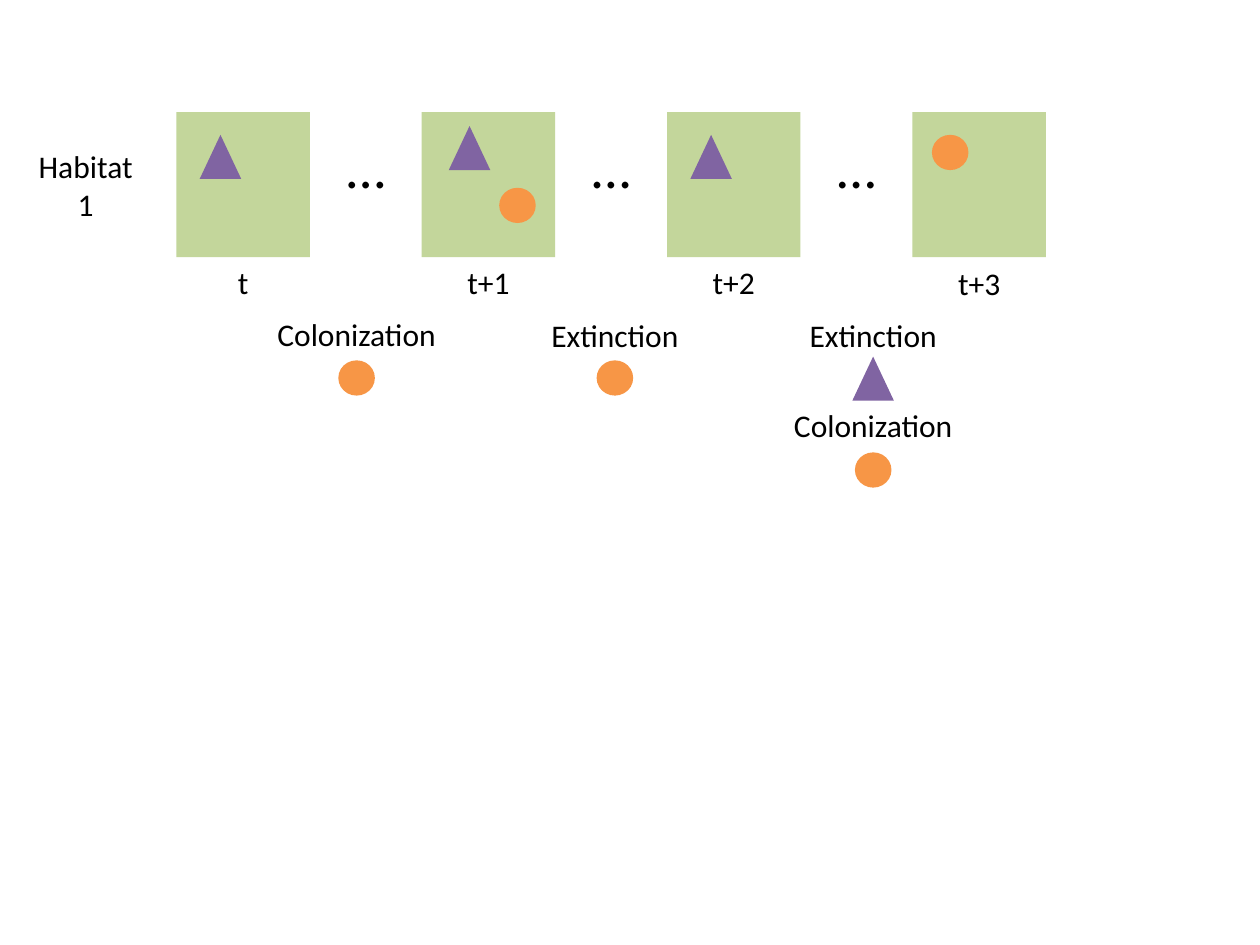
from pptx import Presentation
from pptx.dml.color import RGBColor
from pptx.enum import shapes, text
from pptx.util import Inches, Pt

GREEN = RGBColor(0xC3, 0xD6, 0x9B)
PURPLE = RGBColor(0x80, 0x64, 0xA2)
ORANGE = RGBColor(0xF7, 0x96, 0x46)
BLACK = RGBColor(0, 0, 0)

KINDS = {
    "habitat": (shapes.MSO_SHAPE.RECTANGLE, GREEN, 1.06, 1.15),
    "triangle": (shapes.MSO_SHAPE.ISOSCELES_TRIANGLE, PURPLE, 0.33, 0.35),
    "circle": (shapes.MSO_SHAPE.OVAL, ORANGE, 0.29, 0.28),
}


def add_figure(parent, kind, center, top):
    preset, color, width, height = KINDS[kind]
    figure = parent.shapes.add_shape(
        preset, Inches(center - width / 2), Inches(top), Inches(width), Inches(height))
    figure.shadow.inherit = False
    figure.fill.solid()
    figure.fill.fore_color.rgb = color
    figure.line.fill.background()


def add_label(parent, lines, center, top, width, height=0.4, size=18):
    box = parent.shapes.add_textbox(
        Inches(center - width / 2), Inches(top), Inches(width), Inches(height))
    frame = box.text_frame
    frame.word_wrap = False
    frame.auto_size = text.MSO_AUTO_SIZE.SHAPE_TO_FIT_TEXT
    frame.text = lines
    for para in frame.paragraphs:
        para.alignment = text.PP_ALIGN.CENTER
        para.font.name = "Calibri"
        para.font.size = Pt(size)
        para.font.color.rgb = BLACK
    return box


deck = Presentation()
deck.slide_width, deck.slide_height = Inches(10), Inches(7.5)
page = deck.slides.add_slide(deck.slide_layouts[6])

FIRST_HABITAT, HABITAT_STEP, HABITAT_TOP = 1.93, 1.947, 0.89
FIRST_EVENT, EVENT_STEP = 2.83, 2.05

add_label(page, "Habitat\n1", 0.68, 1.12, 0.96, 0.71)

times = [
    ("t", 0.29, 2.04, [("triangle", -0.18, 0.18)]),
    ("t+1", 0.54, 2.04, [("triangle", -0.15, 0.11), ("circle", 0.23, 0.6)]),
    ("t+2", 0.54, 2.04, [("triangle", -0.18, 0.18)]),
    ("t+3", 0.54, 2.05, [("circle", -0.23, 0.18)]),
]
for column, (time, width, label_top, species) in enumerate(times):
    center = FIRST_HABITAT + column * HABITAT_STEP
    group = page.shapes.add_group_shape()
    add_figure(group, "habitat", center, HABITAT_TOP)
    for kind, offset, drop in species:
        add_figure(group, kind, center + offset, HABITAT_TOP + drop)
    add_label(group, time, center, label_top, width)

for gap in range(len(times) - 1):
    center = FIRST_HABITAT + (gap + 0.5) * HABITAT_STEP
    dots = add_label(page, "…", center, 1, 0.51, 0.64, 32)
    dots.text_frame.vertical_anchor = text.MSO_ANCHOR.MIDDLE

WIDTHS = {"Colonization": 1.48, "Extinction": 1.22}
events = [
    [("Colonization", 2.45, "circle", 2.86)],
    [("Extinction", 2.46, "circle", 2.86)],
    [("Extinction", 2.46, "triangle", 2.83), ("Colonization", 3.17, "circle", 3.59)],
]
for column, changes in enumerate(events):
    center = FIRST_EVENT + column * EVENT_STEP
    group = page.shapes.add_group_shape()
    for name, label_top, kind, figure_top in changes:
        add_figure(group, kind, center, figure_top)
        add_label(group, name, center, label_top, WIDTHS[name])

deck.save("out.pptx")
